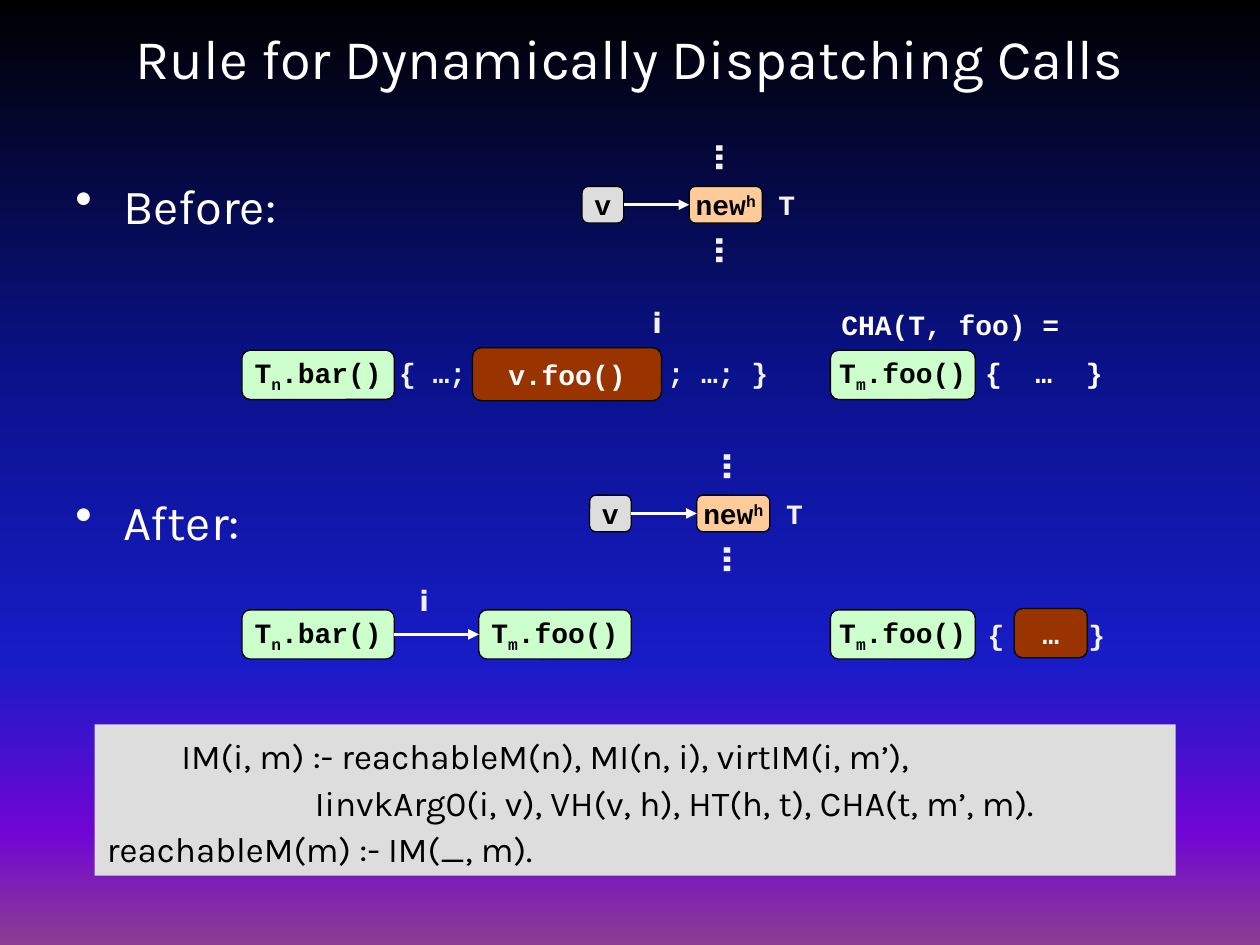
from pptx import Presentation
from pptx.dml.color import RGBColor
from pptx.enum.shapes import MSO_CONNECTOR, MSO_SHAPE
from pptx.enum.text import MSO_ANCHOR, PP_ALIGN
from pptx.oxml.ns import qn
from pptx.oxml.xmlchemy import OxmlElement
from pptx.util import Inches, Pt

LEFT, CENTER = PP_ALIGN.LEFT, PP_ALIGN.CENTER
TOP, MIDDLE = MSO_ANCHOR.TOP, MSO_ANCHOR.MIDDLE
ROUNDED, PLAIN = MSO_SHAPE.ROUNDED_RECTANGLE, MSO_SHAPE.RECTANGLE
STRAIGHT = MSO_CONNECTOR.STRAIGHT
RIGHT_SIDE, LEFT_SIDE = 3, 1

THEME = {
    "sky": [(0, "000000"), (40, "0A128C"), (70, "181CC7"), (88, "7005D4"), (100, "8C3D91")],
    "method": "CCFFCC", "call": "993300", "variable": "DDDDDD", "object": "FFCC99",
    "panel": "DDDDDD", "outline": "000000", "arrow": "FFFFFF",
    "title": {"name": "Karla", "size": 32, "color": "FFFFFF", "bold": False},
    "body": {"name": "Karla", "size": 28, "color": "FFFFFF", "bold": False},
    "rule": {"name": "Karla", "size": 20, "color": "000000", "bold": False},
    "code": {"name": "Courier New", "size": 16, "color": "000000", "bold": True},
    "bright": {"name": "Courier New", "size": 16, "color": "FFFFFF", "bold": True},
    "label": {"name": "Courier New", "size": 16, "color": "F2F2F2", "bold": True},
    "dots": {"name": "Courier New", "size": 25, "color": "F2F2F2", "bold": True},
    "index": {"name": "DejaVu Sans", "size": 16, "color": "F2F2F2", "bold": True},
}

# Places are (column, row, columns, rows) on a grid of 100 by 75 cells.
COLUMNS, ROWS, CELL = 100, 75, 0.1
TITLE = "Rule for Dynamically Dispatching Calls"
STAGES = ["Before:", "After:"]
STAGE_GAP = 147  # points between the two stage headings
HEAP_ORIGINS = [(46.2, 14.8), (46.8, 39.3)]
T_BAR = ["T", ("n", -25), ".bar()"]
T_FOO = ["T", ("m", -25), ".foo()"]
CALLER, CALLEE = 19.2, 65.9
BEFORE_ROW, AFTER_ROW = 27.8, 48.4
NODES = {
    "caller": ((CALLER, BEFORE_ROW, 12.1, 3.9), "method", T_BAR, "code"),
    "call": ((37.5, 27.6, 15, 4.2), "call", ["v.foo()"], "bright"),
    "target": ((CALLEE, BEFORE_ROW, 11.5, 3.9), "method", T_FOO, "code"),
    "linked caller": ((CALLER, AFTER_ROW, 12.1, 3.9), "method", T_BAR, "code"),
    "linked callee": ((38, AFTER_ROW, 12.1, 3.9), "method", T_FOO, "code"),
    "reached": ((CALLEE, AFTER_ROW, 11.5, 3.9), "method", T_FOO, "code"),
    "reached code": ((80.5, 48.3, 5.8, 3.9), "call", ["…"], "bright"),
}
LABELS = [
    ((30.7, 27.7, 7.5, 3.7), "{ …;", "label"),
    ((52, 27.7, 12, 3.7), "; …; }", "label"),
    ((77.2, 27.7, 4, 3.7), "{", "bright"),
    ((81.2, 27.7, 4, 3.7), "…", "bright"),
    ((85.2, 27.7, 4, 3.7), "}", "bright"),
    ((65.8, 23.9, 25.8, 3.7), "CHA(T, foo) =", "bright"),
    ((77.4, 48.5, 4, 3.7), "{", "label"),
    ((85.4, 48.5, 4, 3.7), "}", "label"),
    ((50.8, 23.8, 5, 3.7), "i", "index"),
    ((32.3, 45.8, 5, 3.7), "i", "index"),
]
RULE_PLACE = (7.5, 57.5, 85.8, 12)
RULE = [  # (indent in cells, line)
    (5.9, "IM(i, m) :- reachableM(n), MI(n, i), virtIM(i, m’),"),
    (16.5, "IinvkArg0(i, v), VH(v, h), HT(h, t), CHA(t, m’, m)."),
    (0, "reachableM(m) :- IM(_, m)."),
]


def cells(count):
    return Inches(count * CELL)


def apply(target, **values):
    for name, value in values.items():
        setattr(target, name, value)


def write(para, parts, style):
    """Add runs to a paragraph; a part is text or (text, baseline shift in percent)."""
    for part in parts:
        text, shift = part if isinstance(part, tuple) else (part, 0)
        span, look = para.add_run(), THEME[style]
        span.text = text
        apply(span.font, name=look["name"], size=Pt(look["size"]), bold=look["bold"])
        span.font.color.rgb = RGBColor.from_string(look["color"])
        if shift:
            span.font._element.set("baseline", str(shift * 1000))


def add_label(page, place, text, style, align=LEFT, anchor=TOP, rotation=0):
    box = page.shapes.add_textbox(*map(cells, place))
    box.rotation = rotation
    apply(box.text_frame, word_wrap=True, vertical_anchor=anchor)
    para = box.text_frame.paragraphs[0]
    para.alignment = align
    write(para, [text], style)


def add_block(page, kind, place, fill):
    box = page.shapes.add_shape(kind, *map(cells, place))
    box.shadow.inherit = False
    box.fill.solid()
    box.fill.fore_color.rgb = RGBColor.from_string(THEME[fill])
    return box


def add_node(page, place, fill, parts, style):
    box = add_block(page, ROUNDED, place, fill)
    box.line.color.rgb = RGBColor.from_string(THEME["outline"])
    box.line.width = Pt(0.75)
    apply(box.text_frame, word_wrap=False, vertical_anchor=MIDDLE)
    para = box.text_frame.paragraphs[0]
    para.alignment = CENTER
    write(para, parts, style)
    return box


def add_arrow(page, source, target):
    arrow = page.shapes.add_connector(STRAIGHT, 0, 0, 0, 0)
    arrow.begin_connect(source, RIGHT_SIDE)
    arrow.end_connect(target, LEFT_SIDE)
    arrow.line.color.rgb = RGBColor.from_string(THEME["arrow"])
    arrow.line.width = Pt(2)
    head = OxmlElement("a:tailEnd")
    head.set("type", "triangle")
    arrow.line._get_or_add_ln().append(head)
    arrow._element.spPr.append(OxmlElement("a:effectLst"))


def add_heap(page, column, row):
    """Draw variable v pointing at the new object of type T, between two ellipses."""
    variable = add_node(page, (column, row, 3.3, 2.9), "variable", ["v"], "code")
    created = add_node(page, (column + 8.5, row, 5.8, 2.9), "object", ["new", ("h", 30)], "code")
    add_arrow(page, variable, created)
    for shift in (-4.4, 3):
        add_label(page, (column + 9.5, row + shift, 5, 5.2), "…", "dots", rotation=90)
    add_label(page, (column + 14.6, row - 0.4, 5, 3.7), "T", "label")


def paint_background(page):
    fill = page.background.fill
    fill.gradient()
    fill.gradient_angle = 270
    stops = page._element.find(".//" + qn("a:gsLst"))
    for stop in list(stops):
        stops.remove(stop)
    for share, color in THEME["sky"]:
        stop, paint = OxmlElement("a:gs"), OxmlElement("a:srgbClr")
        stop.set("pos", str(share * 1000))
        paint.set("val", color)
        stop.append(paint)
        stops.append(stop)


def add_stages(page):
    frame = page.shapes.add_textbox(*map(cells, (5, 13.4, 21.7, 34.7))).text_frame
    frame.word_wrap = True
    for number, stage in enumerate(STAGES):
        para = frame.add_paragraph() if number else frame.paragraphs[0]
        para.space_before = Pt(STAGE_GAP * number)
        layout = para._p.get_or_add_pPr()
        layout.set("marL", str(cells(3.8)))
        layout.set("indent", str(-cells(3.8)))
        bullet = OxmlElement("a:buChar")
        bullet.set("char", "•")
        layout.append(bullet)
        write(para, [stage], "body")


def add_rule(page):
    box = add_block(page, PLAIN, RULE_PLACE, "panel")
    box.line.fill.background()
    frame = box.text_frame
    apply(frame, word_wrap=True, vertical_anchor=TOP)
    for number, (indent, line) in enumerate(RULE):
        para = frame.add_paragraph() if number else frame.paragraphs[0]
        apply(para, alignment=LEFT, line_spacing=1.1)
        para._p.get_or_add_pPr().set("marL", str(cells(indent)))
        write(para, [line], "rule")


def main():
    deck = Presentation()
    deck.slide_width, deck.slide_height = cells(COLUMNS), cells(ROWS)
    page = deck.slides.add_slide(deck.slide_layouts[6])
    paint_background(page)
    add_label(page, (0, 0.8, COLUMNS, 7.5), TITLE, "title", CENTER, MIDDLE)
    add_stages(page)
    for origin in HEAP_ORIGINS:
        add_heap(page, *origin)
    nodes = {name: add_node(page, *node) for name, node in NODES.items()}
    add_arrow(page, nodes["linked caller"], nodes["linked callee"])
    for label in LABELS:
        add_label(page, *label)
    add_rule(page)
    deck.save("out.pptx")


if __name__ == "__main__":
    main()
